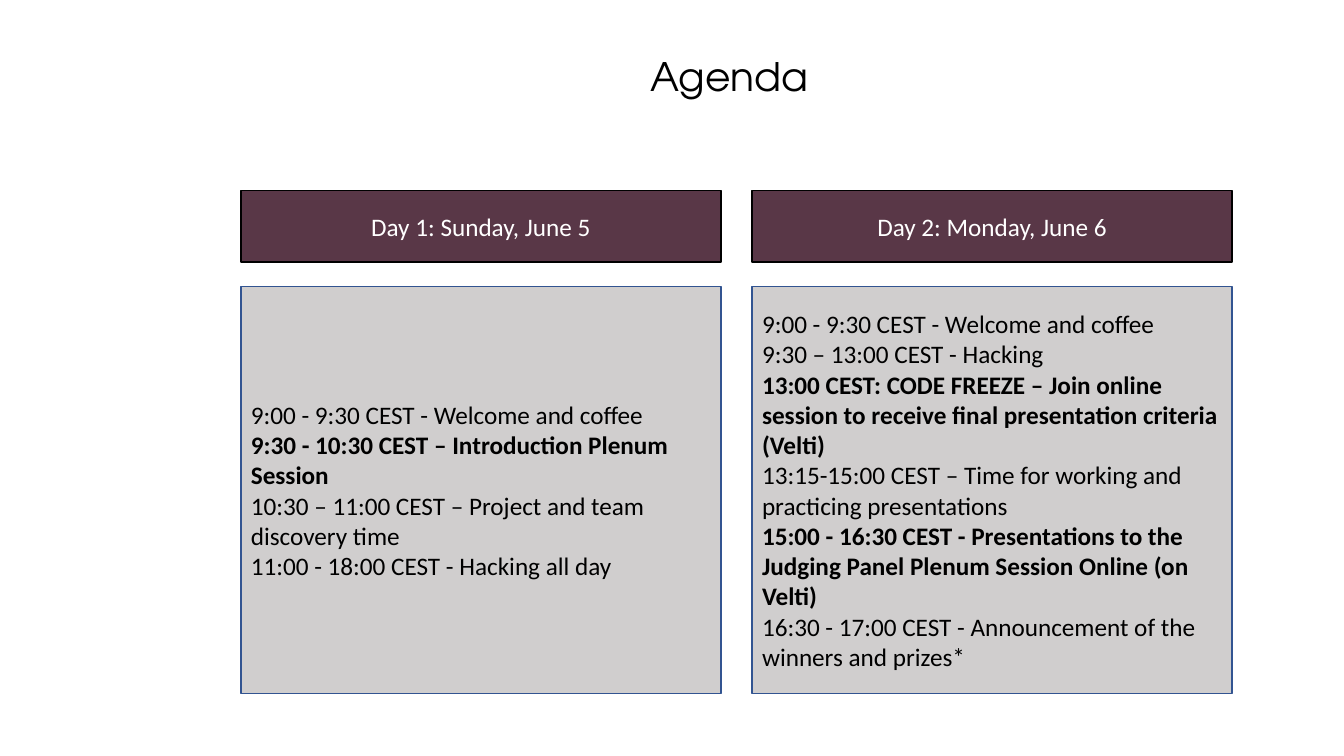
import dataclasses

import pptx
import pptx.dml.color
import pptx.enum.shapes
import pptx.enum.text
import pptx.util


@dataclasses.dataclass(frozen=True)
class Theme:
    """Colours, fonts and type sizes of the agenda."""

    title_font: str = "TeX Gyre Adventor"
    body_font: str = "Calibri"
    title_size: int = 28
    body_size: int = 18
    ink: str = "000000"
    paper: str = "FFFFFF"
    header_fill: str = "593747"
    panel_fill: str = "D0CECE"
    panel_line: str = "325491"


@dataclasses.dataclass(frozen=True)
class Grid:
    """Day columns and agenda rows, in inches."""

    left: float = 2.39
    column_width: float = 4.76
    column_step: float = 5.07
    rows: tuple = ((1.89, 0.71), (2.84, 4.04))

    def cell(self, column, row):
        """Return left, top, width and height of a cell."""
        top, height = self.rows[row]
        return self.left + column * self.column_step, top, self.column_width, height


class AgendaSlide:
    """Draws agenda elements on one slide in one style."""

    def __init__(self, slide, theme, grid):
        """Keep the slide, its theme and its grid."""
        self.slide = slide
        self.theme = theme
        self.grid = grid

    def add_text(self, paragraph, text, font, size, color, bold=False):
        """Add one formatted run to a paragraph."""
        run = paragraph.add_run()
        run.text = text
        run.font.name = font
        run.font.size = pptx.util.Pt(size)
        run.font.bold = bold
        run.font.color.rgb = pptx.dml.color.RGBColor.from_string(color)

    def title(self, text, left, top, width, height):
        """Place and fill the title placeholder."""
        shape = self.slide.shapes.title
        shape.left, shape.top, shape.width, shape.height = map(
            pptx.util.Inches, (left, top, width, height)
        )
        frame = shape.text_frame
        frame.auto_size = pptx.enum.text.MSO_AUTO_SIZE.NONE
        frame.vertical_anchor = pptx.enum.text.MSO_ANCHOR.TOP
        paragraph = frame.paragraphs[0]
        paragraph.alignment = pptx.enum.text.PP_ALIGN.CENTER
        paragraph.line_spacing = 0.9
        paragraph.space_before = pptx.util.Pt(10)
        self.add_text(paragraph, text, self.theme.title_font, self.theme.title_size, self.theme.ink)

    def box(self, column, row, lines, fill, line, color, alignment):
        """Draw a grid cell holding (text, bold) lines."""
        shape = self.slide.shapes.add_shape(
            pptx.enum.shapes.MSO_SHAPE.RECTANGLE,
            *map(pptx.util.Inches, self.grid.cell(column, row)),
        )
        shape.shadow.inherit = False
        shape.fill.solid()
        shape.fill.fore_color.rgb = pptx.dml.color.RGBColor.from_string(fill)
        shape.line.color.rgb = pptx.dml.color.RGBColor.from_string(line)
        shape.line.width = pptx.util.Pt(1)
        frame = shape.text_frame
        frame.word_wrap = True
        frame.vertical_anchor = pptx.enum.text.MSO_ANCHOR.MIDDLE
        for index, (text, bold) in enumerate(lines):
            paragraph = frame.add_paragraph() if index else frame.paragraphs[0]
            paragraph.alignment = alignment
            self.add_text(paragraph, text, self.theme.body_font, self.theme.body_size, color, bold)

    def day(self, column, heading, sessions):
        """Draw a day's header and its sessions."""
        theme = self.theme
        align = pptx.enum.text.PP_ALIGN
        self.box(column, 0, [(heading, False)], theme.header_fill, theme.ink, theme.paper, align.CENTER)
        self.box(column, 1, sessions, theme.panel_fill, theme.panel_line, theme.ink, align.LEFT)


DAYS = [
    ("Day 1: Sunday, June 5", [
        ("9:00 - 9:30 CEST - Welcome and coffee", False),
        ("9:30 - 10:30 CEST – Introduction Plenum Session", True),
        ("10:30 – 11:00 CEST – Project and team discovery time", False),
        ("11:00 - 18:00 CEST - Hacking all day", False),
    ]),
    ("Day 2: Monday, June 6", [
        ("9:00 - 9:30 CEST - Welcome and coffee", False),
        ("9:30 – 13:00 CEST - Hacking", False),
        ("13:00 CEST: CODE FREEZE – Join online session to receive final presentation criteria (Velti)", True),
        ("13:15-15:00 CEST – Time for working and practicing presentations", False),
        ("15:00 - 16:30 CEST - Presentations to the Judging Panel Plenum Session Online (on Velti)", True),
        ("16:30 - 17:00 CEST - Announcement of the winners and prizes*", False),
    ]),
]


def main():
    """Build and save the agenda slide."""
    presentation = pptx.Presentation()
    presentation.slide_width = pptx.util.Inches(13.33)
    presentation.slide_height = pptx.util.Inches(7.5)
    title_only = presentation.slide_layouts.get_by_name("Title Only")
    agenda = AgendaSlide(presentation.slides.add_slide(title_only), Theme(), Grid())
    agenda.title("Agenda", 1.95, 0.52, 10.57, 0.8)
    for column, (heading, sessions) in enumerate(DAYS):
        agenda.day(column, heading, sessions)
    presentation.save("out.pptx")


if __name__ == "__main__":
    main()
